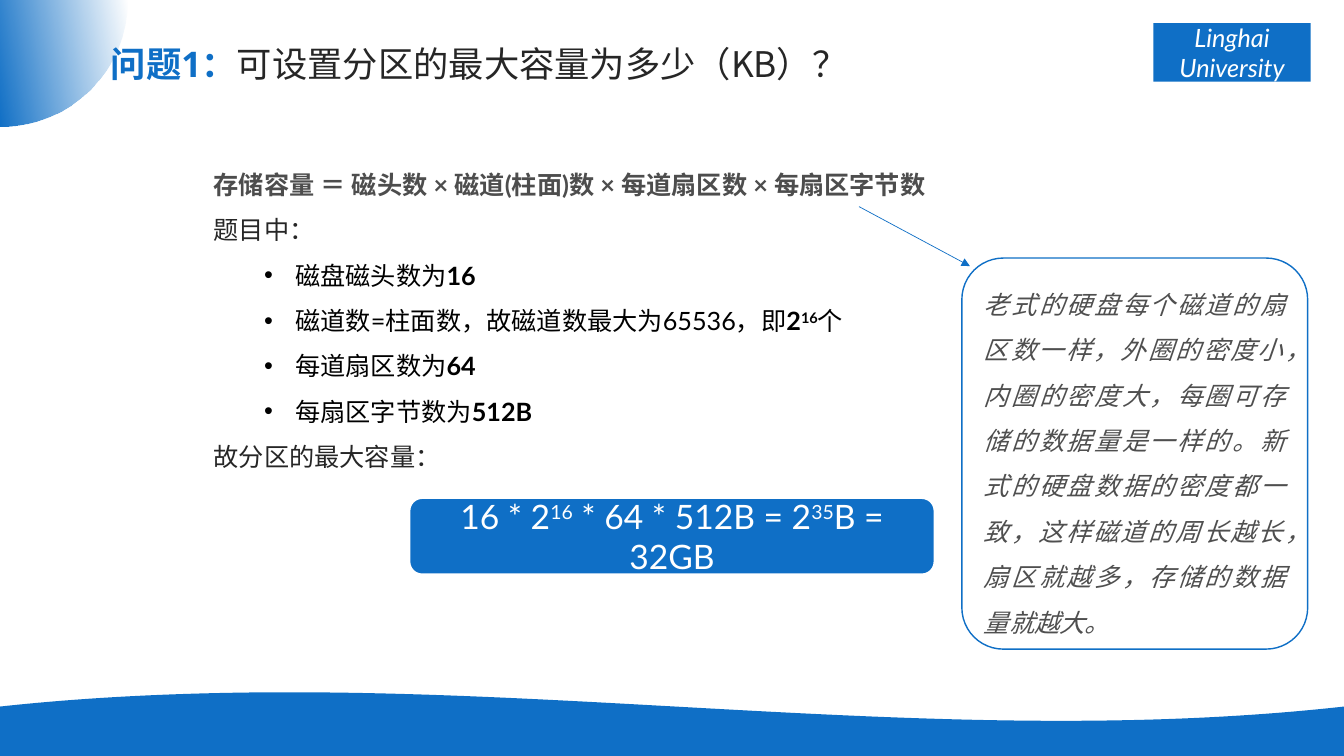
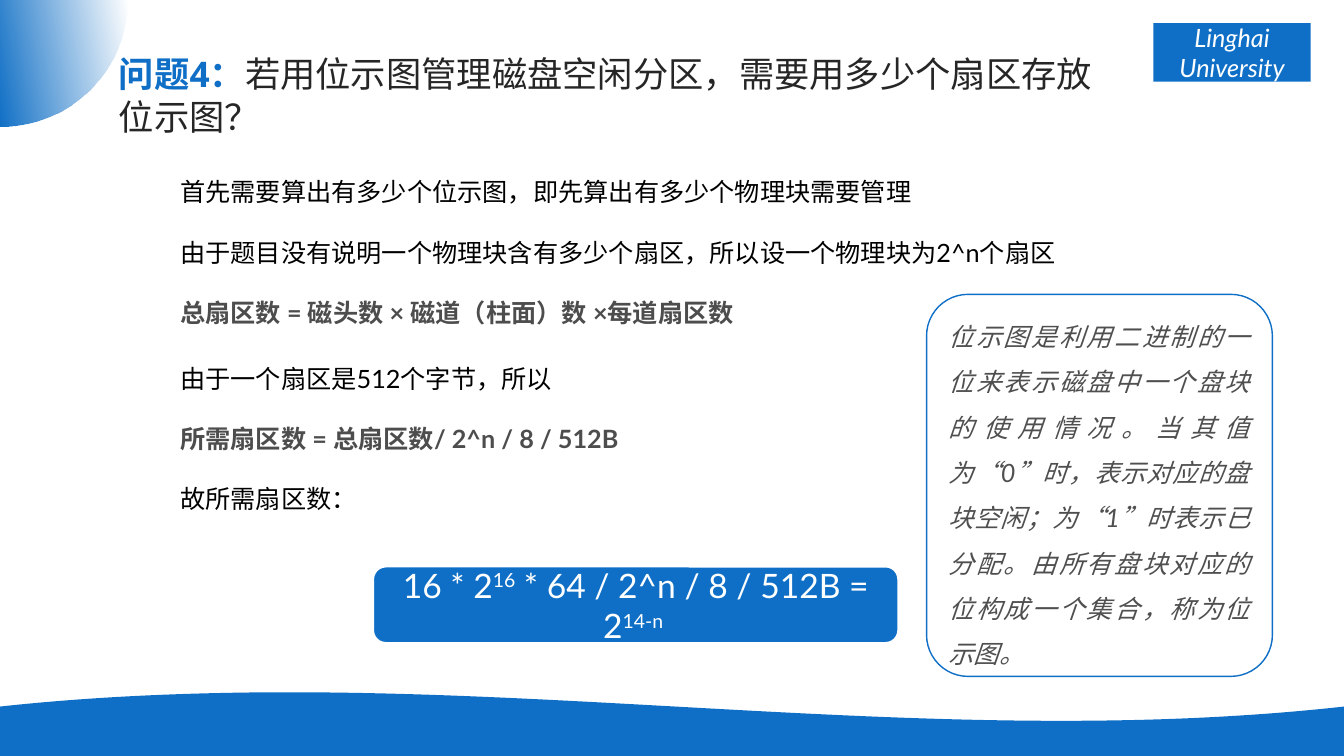
from lxml import etree
from pptx import Presentation
from pptx.dml.color import RGBColor
from pptx.enum.shapes import MSO_CONNECTOR, MSO_SHAPE
from pptx.enum.text import MSO_ANCHOR, PP_ALIGN
from pptx.oxml.ns import qn
from pptx.util import Inches, Pt

RECTANGLE = MSO_SHAPE.RECTANGLE
ROUNDED = MSO_SHAPE.ROUNDED_RECTANGLE
STRAIGHT = MSO_CONNECTOR.STRAIGHT
TOP, MIDDLE = MSO_ANCHOR.TOP, MSO_ANCHOR.MIDDLE
LEFT, CENTER, JUSTIFY = PP_ALIGN.LEFT, PP_ALIGN.CENTER, PP_ALIGN.JUSTIFY

BLUE = RGBColor(0x0F, 0x6F, 0xC6)
NAVY = RGBColor(0x2F, 0x55, 0x97)
DEEP_BLUE = RGBColor(0x0B, 0x53, 0x94)
WHITE = RGBColor(0xFF, 0xFF, 0xFF)
BLACK = RGBColor(0x00, 0x00, 0x00)
DARK = RGBColor(0x26, 0x26, 0x26)
GRAY = RGBColor(0x4D, 0x4D, 0x4D)
NOTE_GRAY = RGBColor(0x4F, 0x4F, 0x4F)

BODY_FONT = "Lato"
TITLE_FONT = "Noto Sans"
CHINESE_FONT = "Noto Sans CJK SC"

SLIDE_WIDTH, SLIDE_HEIGHT = 13.33, 7.5


def add_run(paragraph, text, size=18, color=BLACK, bold=False, italic=False,
            font=BODY_FONT, east_asian=BODY_FONT, superscript=False):
    run = paragraph.add_run()
    run.text = text
    run.font.size = Pt(size)
    run.font.bold = bold
    run.font.italic = italic
    run.font.color.rgb = color
    run.font.name = font
    properties = run._r.get_or_add_rPr()
    etree.SubElement(properties, qn("a:ea"), typeface=east_asian)
    if superscript:
        properties.set("baseline", "30000")


def add_powers(paragraph, parts, **style):
    for position, part in enumerate(parts):
        add_run(paragraph, part, superscript=position % 2 == 1, **style)


def style_shape(shape, fill, line=None, line_width=1):
    shape.shadow.inherit = False
    shape.fill.solid()
    shape.fill.fore_color.rgb = fill
    if line is None:
        shape.line.fill.background()
    else:
        shape.line.color.rgb = line
        shape.line.width = Pt(line_width)


def add_box(slide, kind, left, top, width, height, fill, line=None, line_width=1):
    shape = slide.shapes.add_shape(
        kind, Inches(left), Inches(top), Inches(width), Inches(height))
    style_shape(shape, fill, line, line_width)
    frame = shape.text_frame
    frame.word_wrap = True
    frame.vertical_anchor = MIDDLE
    frame.paragraphs[0].alignment = CENTER
    return shape


def add_outline(slide, start, segments):
    builder = slide.shapes.build_freeform(Inches(start[0]), Inches(start[1]))
    builder.add_line_segments(
        [(Inches(x), Inches(y)) for x, y in (segment[-1] for segment in segments)],
        close=True)
    shape = builder.convert_to_shape()
    style_shape(shape, BLUE)
    lines = list(shape.element.iter(qn("a:lnTo")))
    for line, segment in zip(lines, segments):
        if len(segment) == 3:
            bend = etree.Element(qn("a:cubicBezTo"))
            for x, y in segment:
                etree.SubElement(bend, qn("a:pt"), x=str(Inches(x) - shape.left),
                                 y=str(Inches(y) - shape.top))
            line.getparent().replace(line, bend)
    return shape


def apply_gradient(shape, angle, stops):
    properties = shape.element.spPr
    gradient = etree.Element(qn("a:gradFill"), rotWithShape="1")
    stop_list = etree.SubElement(gradient, qn("a:gsLst"))
    for position, color, opacity in stops:
        stop = etree.SubElement(stop_list, qn("a:gs"), pos=str(position * 1000))
        value = etree.SubElement(stop, qn("a:srgbClr"), val=str(color))
        etree.SubElement(value, qn("a:alpha"), val=str(opacity * 1000))
    etree.SubElement(gradient, qn("a:lin"), ang=str(angle * 60000), scaled="0")
    properties.replace(properties.find(qn("a:solidFill")), gradient)


def decorate_layout(layout, slide):
    for placeholder in list(layout.placeholders):
        if placeholder.placeholder_format.idx != 0:
            layout.shapes.element.remove(placeholder.element)
    strip = add_box(slide, RECTANGLE, 0, 7.32, SLIDE_WIDTH, 0.18, NAVY)
    apply_gradient(strip, 0, [(13, NAVY, 100), (57, NAVY, 59), (100, DEEP_BLUE, 0)])
    name_plate = add_box(slide, RECTANGLE, 11.44, 0.23, 1.56, 0.58, BLUE)
    add_run(name_plate.text_frame.paragraphs[0], "Linghai University",
            color=WHITE, italic=True)
    wave = add_outline(slide, (2.5, 6.87), [
        [(6.11, 6.83), (9.72, 7.41), (SLIDE_WIDTH, 7.01)],
        [(SLIDE_WIDTH, SLIDE_HEIGHT)],
        [(0, SLIDE_HEIGHT)],
        [(0, 7.01)],
        [(0.83, 6.92), (1.67, 6.88), (2.5, 6.87)]])
    corner = add_outline(slide, (0, 0), [
        [(1.26, 0)],
        [(1.26, 0.7), (0.7, 1.26), (0, 1.26)]])
    apply_gradient(corner, 170, [(0, BLUE, 0), (100, BLUE, 100)])
    for shape in (strip, name_plate, wave, corner):
        layout.shapes.element.append(shape.element)


def set_title(slide, left, top, width, height, label, question):
    title = slide.shapes.title
    title.left, title.top = Inches(left), Inches(top)
    title.width, title.height = Inches(width), Inches(height)
    frame = title.text_frame
    frame.word_wrap = True
    frame.vertical_anchor = TOP
    paragraph = frame.paragraphs[0]
    paragraph.alignment = LEFT
    paragraph.line_spacing = Pt(30.7)
    add_run(paragraph, label, 25.2, BLUE, bold=True,
            font=TITLE_FONT, east_asian=CHINESE_FONT)
    add_run(paragraph, question, 25.2, DARK,
            font=CHINESE_FONT, east_asian=CHINESE_FONT)


def add_text_box(slide, left, top, width, height):
    frame = slide.shapes.add_textbox(
        Inches(left), Inches(top), Inches(width), Inches(height)).text_frame
    frame.word_wrap = True
    return frame


def next_paragraph(frame):
    first = frame.paragraphs[0]
    return frame.add_paragraph() if first.runs else first


def set_indent(paragraph, margin, indent, bullet=None):
    properties = paragraph._p.get_or_add_pPr()
    properties.set("marL", str(Inches(margin)))
    properties.set("indent", str(Inches(indent)))
    if bullet:
        etree.SubElement(properties, qn("a:buFont"), typeface="Arial")
        etree.SubElement(properties, qn("a:buChar"), char=bullet)


def add_statement(frame, text, color, bold=False):
    paragraph = next_paragraph(frame)
    paragraph.line_spacing = 1.5
    set_indent(paragraph, 0, 0.5)
    add_run(paragraph, text, color=color, bold=bold)


def add_bullet(frame, text, value, power=None, ending=None):
    paragraph = next_paragraph(frame)
    paragraph.line_spacing = 1.5
    set_indent(paragraph, 1.31, -0.31, "•")
    add_run(paragraph, text)
    add_run(paragraph, value, bold=True)
    if power:
        add_run(paragraph, power, bold=True, superscript=True)
    if ending:
        add_run(paragraph, ending)


def add_steps(slide, top, steps):
    frame = add_text_box(slide, 1.69, top, 9.53, 1.62)
    for position, (text, is_formula) in enumerate(steps):
        paragraph = next_paragraph(frame)
        if position:
            paragraph.space_before = Pt(21.6)
        add_run(paragraph, text, color=GRAY if is_formula else BLACK, bold=is_formula)


def add_result(slide, left, top, parts):
    shape = add_box(slide, ROUNDED, left, top, 5.21, 0.76, BLUE, WHITE, 1.5)
    add_powers(shape.text_frame.paragraphs[0], parts, size=24, color=WHITE)


def add_note(slide, left, top, height, text):
    shape = add_box(slide, ROUNDED, left, top, 3.43, height, WHITE, BLUE)
    shape.adjustments[0] = 0.12
    shape.text_frame.margin_top = Inches(0.09)
    paragraph = shape.text_frame.paragraphs[0]
    paragraph.alignment = JUSTIFY
    paragraph.line_spacing = Pt(32.4)
    add_run(paragraph, text, color=NOTE_GRAY, italic=True, east_asian=CHINESE_FONT)


def add_arrow(slide, start, end):
    connector = slide.shapes.add_connector(
        STRAIGHT, *(Inches(value) for value in start + end))
    connector.line.color.rgb = BLUE
    connector.line.width = Pt(0.5)
    properties = connector.element.spPr
    etree.SubElement(properties.find(qn("a:ln")), qn("a:tailEnd"), type="triangle")
    etree.SubElement(properties, qn("a:effectLst"))


def build_capacity_slide(slide):
    set_title(slide, 1, 0.36, 9.18, 0.9, "问题1：", "可设置分区的最大容量为多少（KB）？")
    frame = add_text_box(slide, 1.62, 1.53, 9.7, 3.13)
    frame.margin_left = frame.margin_right = 0
    frame.margin_top = frame.margin_bottom = 0
    add_statement(frame, "存储容量 ＝ 磁头数 × 磁道(柱面)数 × 每道扇区数 × 每扇区字节数",
                  GRAY, bold=True)
    add_statement(frame, "题目中：", DARK)
    add_bullet(frame, "磁盘磁头数为", "16")
    add_bullet(frame, "磁道数=柱面数，故磁道数最大为65536，即", "2", "16", "个")
    add_bullet(frame, "每道扇区数为", "64")
    add_bullet(frame, "每扇区字节数为", "512B")
    add_statement(frame, "故分区的最大容量：", DARK)
    add_result(slide, 4.06, 4.94, ["16 * 2", "16", " * 64 * 512B = 2", "35", "B = 32GB"])
    add_arrow(slide, (8.52, 2.05), (9.62, 2.64))
    add_note(slide, 9.54, 2.56, 3.88,
             "老式的硬盘每个磁道的扇区数一样，外圈的密度小，内圈的密度大，"
             "每圈可存储的数据量是一样的。新式的硬盘数据的密度都一致，"
             "这样磁道的周长越长，扇区就越多，存储的数据量就越大。")


def build_bitmap_slide(slide):
    set_title(slide, 1.08, 0.46, 9.94, 1.0, "问题4：",
              "若用位示图管理磁盘空闲分区，需要用多少个扇区存放位示图？")
    add_result(slide, 3.7, 5.62, ["16 * 2", "16", " * 64 / 2^n / 8 / 512B = 2", "14-n "])
    add_steps(slide, 1.7, [
        ("首先需要算出有多少个位示图，即先算出有多少个物理块需要管理", False),
        ("由于题目没有说明一个物理块含有多少个扇区，所以设一个物理块为2^n个扇区", False),
        ("总扇区数 = 磁头数 × 磁道（柱面）数 ×每道扇区数", True)])
    add_steps(slide, 3.55, [
        ("由于一个扇区是512个字节，所以", False),
        ("所需扇区数 = 总扇区数/ 2^n / 8 / 512B", True),
        ("故所需扇区数：", False)])
    add_note(slide, 9.19, 2.92, 3.79,
             "位示图是利用二进制的一位来表示磁盘中一个盘块的使用情况。"
             "当其值为“0”时，表示对应的盘块空闲；为“1”时表示已分配。"
             "由所有盘块对应的位构成一个集合，称为位示图。")


def main():
    presentation = Presentation()
    presentation.slide_width = Inches(SLIDE_WIDTH)
    presentation.slide_height = Inches(SLIDE_HEIGHT)
    layout = presentation.slide_layouts[5]
    capacity_slide = presentation.slides.add_slide(layout)
    decorate_layout(layout, capacity_slide)
    build_capacity_slide(capacity_slide)
    build_bitmap_slide(presentation.slides.add_slide(layout))
    presentation.save("out.pptx")


if __name__ == "__main__":
    main()
